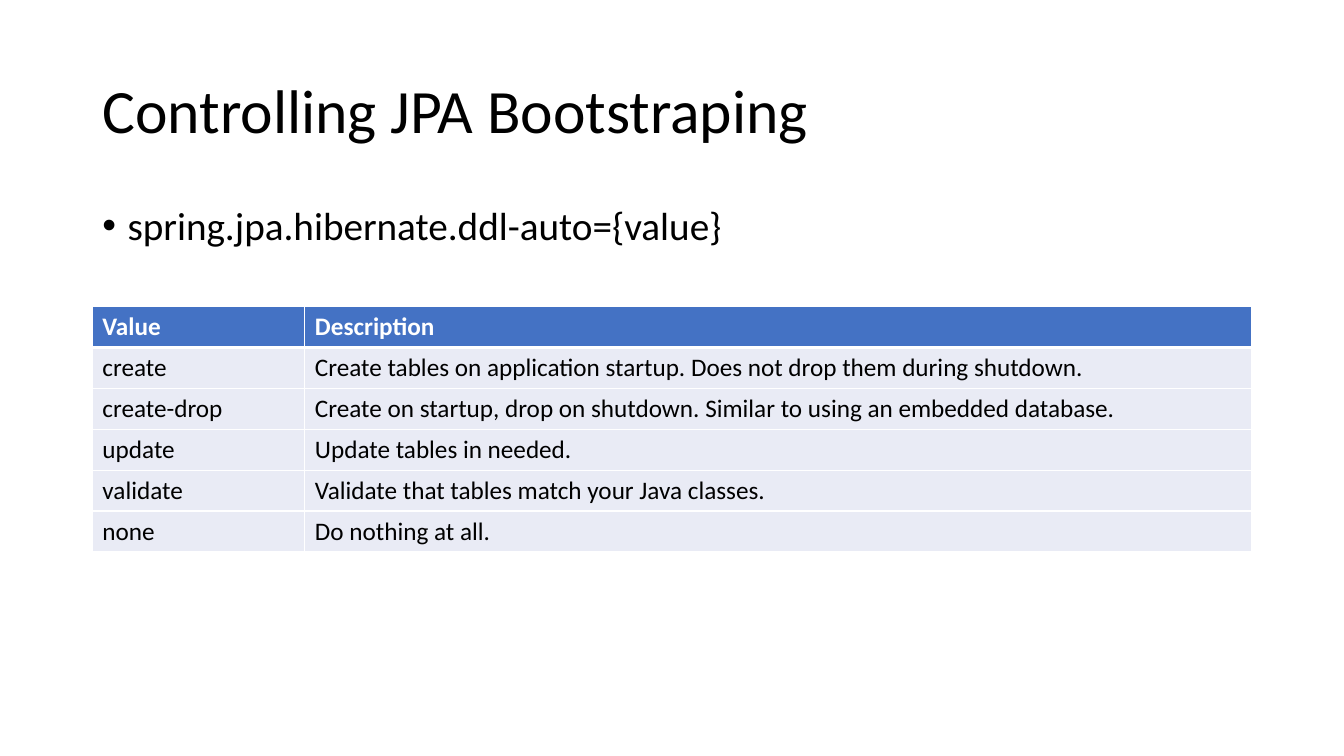
import dataclasses

import pptx
import pptx.dml.color
import pptx.enum.text
import pptx.oxml.ns
import pptx.util
from lxml import etree


@dataclasses.dataclass(frozen=True)
class Theme:
    """Colours, font and type sizes in points."""
    font: str = "Calibri"
    ink: str = "000000"
    paper: str = "FFFFFF"
    header: str = "4472C4"
    row: str = "E9EBF5"
    title: int = 44
    body: int = 28
    cell: int = 18
    rule: int = 1
    header_rule: int = 3


def write(frame, text, *, theme, size, color, bold=False, spacing=None, before=0):
    """Put formatted text in a frame and return its paragraph."""
    paragraph = frame.paragraphs[0]
    paragraph.line_spacing = spacing
    paragraph.space_before = pptx.util.Pt(before)
    run = paragraph.add_run()
    run.text = text
    run.font.name = theme.font
    run.font.size = pptx.util.Pt(size)
    run.font.bold = bold
    run.font.color.rgb = pptx.dml.color.RGBColor.from_string(color)
    return paragraph


def add_xml(parent, tag, index=None, **attributes):
    """Insert a DrawingML element in its parent."""
    element = etree.Element(pptx.oxml.ns.qn(tag), attributes)
    parent.insert(len(parent) if index is None else index, element)
    return element


class SlideBuilder:
    """Draws themed elements on a grid of 160 columns by 90 rows."""
    columns, rows = 160, 90

    def __init__(self, deck, theme):
        """Add a blank slide and work out the grid."""
        self.theme = theme
        self.slide = deck.slides.add_slide(deck.slide_layouts[6])
        self.column = deck.slide_width / self.columns
        self.row = deck.slide_height / self.rows

    def box(self, left, top, width, height):
        """Turn grid units into slide lengths."""
        return (round(left * self.column), round(top * self.row),
                round(width * self.column), round(height * self.row))

    def text(self, content, area, size, anchor="TOP", bullet=None, before=0):
        """Add a wrapped text box, bulleted on request."""
        frame = self.slide.shapes.add_textbox(*self.box(*area)).text_frame
        frame.word_wrap = True
        frame.vertical_anchor = pptx.enum.text.MSO_ANCHOR[anchor]
        paragraph = write(frame, content, theme=self.theme, size=size,
                          color=self.theme.ink, spacing=0.9, before=before)
        if bullet:
            indent = pptx.util.Inches(0.25)
            properties = paragraph._p.get_or_add_pPr()
            properties.set("marL", str(indent))
            properties.set("indent", str(-indent))
            add_xml(properties, "a:buFont", typeface="Arial")
            add_xml(properties, "a:buChar", char=bullet)

    def borders(self, cell, top, bottom):
        """Rule the four sides of a cell."""
        properties = cell._tc.get_or_add_tcPr()
        widths = {"L": self.theme.rule, "R": self.theme.rule, "T": top, "B": bottom}
        for index, (side, width) in enumerate(widths.items()):
            line = add_xml(properties, f"a:ln{side}", index, w=str(pptx.util.Pt(width)))
            add_xml(add_xml(line, "a:solidFill"), "a:srgbClr", val=self.theme.paper)

    def table(self, records, left, top, widths, row_height):
        """Add a table whose first record is the header."""
        theme = self.theme
        area = self.box(left, top, sum(widths), row_height * len(records))
        table = self.slide.shapes.add_table(len(records), len(widths), *area).table
        table.horz_banding = False
        for column, width in zip(table.columns, widths):
            column.width = round(width * self.column)
        for number, (row, record) in enumerate(zip(table.rows, records)):
            row.height = round(row_height * self.row)
            is_header = number == 0
            for cell, content in zip(row.cells, record):
                write(cell.text_frame, content, theme=theme, size=theme.cell,
                      color=theme.paper if is_header else theme.ink, bold=is_header)
                cell.fill.solid()
                cell.fill.fore_color.rgb = pptx.dml.color.RGBColor.from_string(
                    theme.header if is_header else theme.row)
                self.borders(cell,
                             top=theme.header_rule if number == 1 else theme.rule,
                             bottom=theme.header_rule if is_header else theme.rule)


DDL_OPTIONS = [
    ("Value", "Description"),
    ("create", "Create tables on application startup. Does not drop them during shutdown."),
    ("create-drop", "Create on startup, drop on shutdown. Similar to using an embedded database."),
    ("update", "Update tables in needed."),
    ("validate", "Validate that tables match your Java classes."),
    ("none", "Do nothing at all."),
]
MARGIN = 11
CONTENT_WIDTH = SlideBuilder.columns - 2 * MARGIN
VALUE_WIDTH = 25.3


def main():
    """Build and save the deck."""
    deck = pptx.Presentation()
    deck.slide_width = pptx.util.Inches(13.33)
    deck.slide_height = pptx.util.Inches(7.5)
    theme = Theme()
    page = SlideBuilder(deck, theme)
    page.text("Controlling JPA Bootstraping", (MARGIN, 4.8, CONTENT_WIDTH, 17.4),
              theme.title, anchor="MIDDLE")
    page.text("spring.jpa.hibernate.ddl-auto={value}", (MARGIN, 24, CONTENT_WIDTH, 8.16),
              theme.body, bullet="•", before=10)
    page.table(DDL_OPTIONS, MARGIN, 36.5,
               (VALUE_WIDTH, CONTENT_WIDTH - VALUE_WIDTH), row_height=4.87)
    deck.save("out.pptx")


main()
